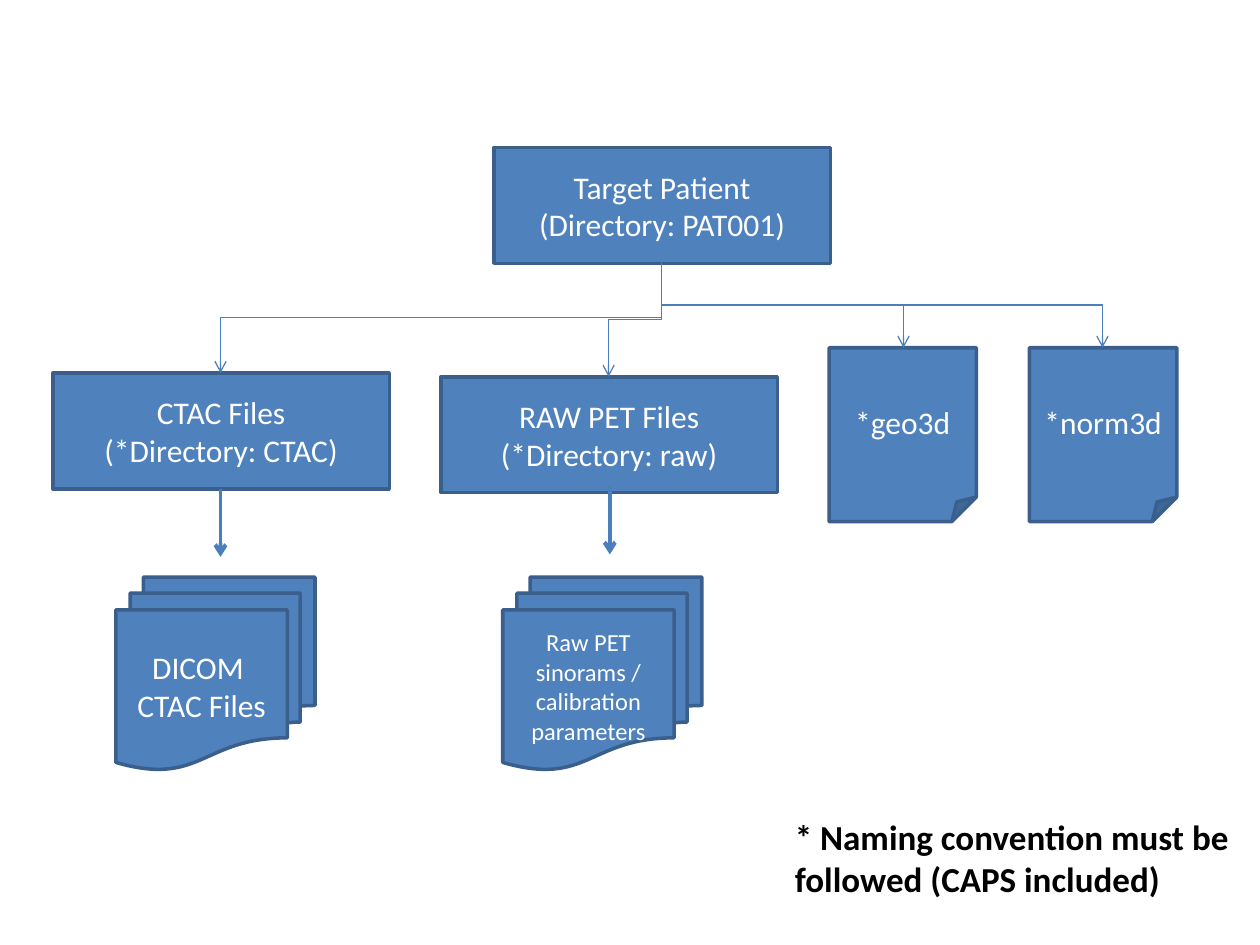
from lxml import etree
from pptx import Presentation
from pptx.dml.color import RGBColor
from pptx.enum.shapes import MSO_CONNECTOR, MSO_SHAPE
from pptx.enum.text import MSO_ANCHOR, PP_ALIGN
from pptx.oxml.ns import qn
from pptx.util import Inches, Pt

RECTANGLE = MSO_SHAPE.RECTANGLE
FILE = MSO_SHAPE.FOLDED_CORNER
FILE_STACK = MSO_SHAPE.FLOWCHART_MULTIDOCUMENT
STRAIGHT, ELBOW = MSO_CONNECTOR.STRAIGHT, MSO_CONNECTOR.ELBOW
CENTER, MIDDLE = PP_ALIGN.CENTER, MSO_ANCHOR.MIDDLE

FONT = "Calibri"
FILL, OUTLINE, ARROW = "4F81BD", "3A5F8C", "4B7EBC"
WHITE, BLACK = "FFFFFF", "000000"

DIRECTORY_SIZE = (2.67, 0.92)
FILE_SIZE = (1.17, 1.38)
STACK_SIZE = (1.58, 1.53)


def color(value):
    return RGBColor.from_string(value)


def write_lines(frame, lines, size, font_color, bold=False, align=None):
    frame.word_wrap = True
    for index, line in enumerate(lines):
        para = frame.paragraphs[0] if index == 0 else frame.add_paragraph()
        para.text = line
        para.alignment = align
        para.font.name = FONT
        para.font.size = Pt(size)
        para.font.bold = bold
        para.font.color.rgb = color(font_color)


def add_node(page, kind, left, top, size, lines, text_size=18):
    node = page.shapes.add_shape(
        kind, Inches(left), Inches(top), *(Inches(side) for side in size))
    node.shadow.inherit = False
    node.fill.solid()
    node.fill.fore_color.rgb = color(FILL)
    node.line.color.rgb = color(OUTLINE)
    node.line.width = Pt(2)
    node.text_frame.vertical_anchor = MIDDLE
    write_lines(node.text_frame, lines, text_size, WHITE, align=CENTER)
    return node


def add_arrow(page, kind, start, end, width):
    arrow = page.shapes.add_connector(
        kind, *(Inches(value) for value in (*start, *end)))
    arrow.line.color.rgb = color(ARROW)
    arrow.line.width = Pt(width)
    etree.SubElement(arrow.line._get_or_add_ln(), qn("a:tailEnd"), type="arrow")
    etree.SubElement(arrow._element.spPr, qn("a:effectLst"))
    return arrow


def add_branch(page, start, end):
    """Elbow arrow that leaves downwards, runs sideways and ends downwards."""
    arrow = add_arrow(page, ELBOW, start, end, 0.75)
    across, down = abs(end[0] - start[0]), end[1] - start[1]
    middle_x, middle_y = (start[0] + end[0]) / 2, (start[1] + end[1]) / 2
    # The unrotated frame has its width and height swapped
    arrow.left, arrow.top = Inches(middle_x - down / 2), Inches(middle_y - across / 2)
    arrow.width, arrow.height = Inches(down), Inches(across)
    frame = arrow._element.spPr.find(qn("a:xfrm"))
    goes_right = end[0] > start[0]
    frame.set("rot", str((270 if goes_right else 90) * 60000))
    frame.set("flipH", "1" if goes_right else "0")


def add_note(page, left, top, width, height, text):
    box = page.shapes.add_textbox(
        Inches(left), Inches(top), Inches(width), Inches(height))
    write_lines(box.text_frame, [text], 20, BLACK, bold=True)


def main():
    deck = Presentation()
    deck.slide_width, deck.slide_height = Inches(10), Inches(7.5)
    page = deck.slides.add_slide(deck.slide_layouts[6])

    # Patient directory and its subdirectories
    for left, top, lines in (
        (3.92, 1.17, ["Target Patient", "(Directory: PAT001)"]),
        (0.42, 2.96, ["CTAC Files", "(*Directory: CTAC)"]),
        (3.5, 2.99, ["RAW PET Files", "(*Directory: raw)"]),
    ):
        add_node(page, RECTANGLE, left, top, DIRECTORY_SIZE, lines)

    # Single files
    for left, name in ((6.58, "*geo3d"), (8.17, "*norm3d")):
        add_node(page, FILE, left, 2.76, FILE_SIZE, [name])

    # File stacks inside the subdirectories
    add_node(page, FILE_STACK, 0.92, 4.58, STACK_SIZE, ["DICOM ", "CTAC Files"])
    add_node(page, FILE_STACK, 3.99, 4.58, STACK_SIZE,
             ["Raw PET sinorams / calibration parameters"], text_size=14)

    # Arrows from subdirectories to stacks
    for x, top in ((1.75, 3.88), (4.84, 3.86)):
        add_arrow(page, STRAIGHT, (x, top), (x, top + 0.54), 2.25)

    # Branches from the patient directory
    for end in ((1.75, 2.96), (4.83, 2.99), (7.17, 2.76), (8.75, 2.76)):
        add_branch(page, (5.25, 2.08), end)

    add_note(page, 6.21, 6.42, 4.04, 0.77,
             "* Naming convention must be followed (CAPS included)")
    deck.save("out.pptx")


if __name__ == "__main__":
    main()
